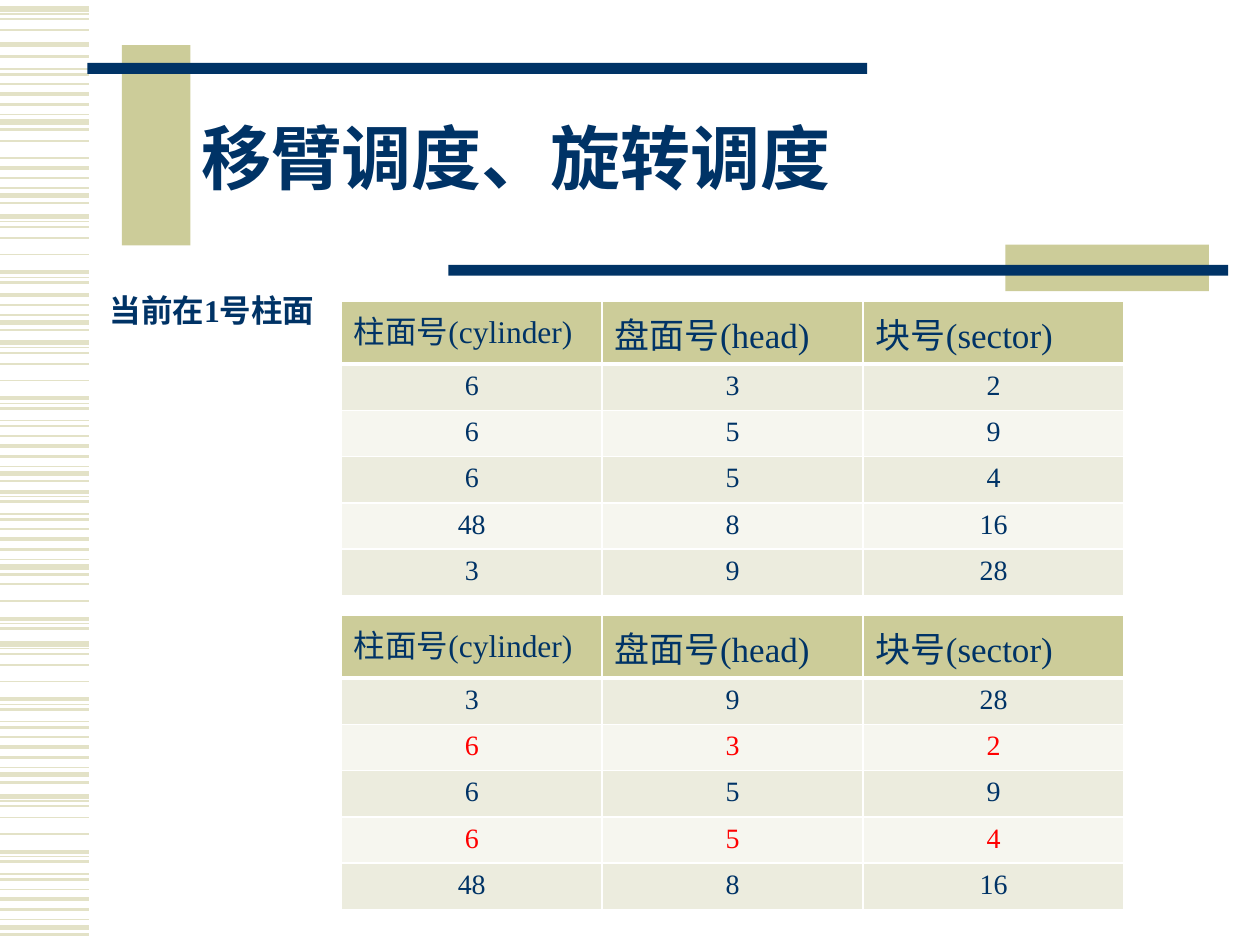
from lxml.etree import SubElement
from pptx import Presentation
from pptx.dml.color import RGBColor
from pptx.enum.shapes import MSO_CONNECTOR, MSO_SHAPE
from pptx.enum.text import MSO_ANCHOR, PP_ALIGN
from pptx.oxml.ns import qn
from pptx.util import Cm, Pt

NAVY, SAND, RED = "003366", "CCCC99", "FF0000"


def tint(form, code):
    """Set a font colour or a solid fill from a hex string."""
    if hasattr(form, "solid"):
        form.solid()
        form = form.fore_color
    form.rgb = RGBColor.from_string(code)


def write(frame, text, color, align=PP_ALIGN.LEFT, **style):
    """Fill a text frame with one styled paragraph and return it."""
    line = frame.paragraphs[0]
    line.alignment = align
    run = line.add_run()
    run.text = text
    for name, value in style.items():
        setattr(run.font, name, value)
    tint(run.font.color, color)
    return line


deck = Presentation()
deck.slide_width, deck.slide_height = Cm(25.4), Cm(19.05)
slide = deck.slides.add_slide(deck.slide_layouts[6])
shapes = slide.shapes

# Side stripes: parts of one motif of (offset in cm, weight in points)
motif = [
    (0, 3), (0.1, 0.75), (0.2, 1), (0.43, 1), (0.76, 1), (1.12, 2.25),
    (1.22, 0.75), (1.32, 1.5), (1.57, 0.75), (1.68, 1.5), (1.88, 1),
    (2.08, 2.25), (2.29, 1.5), (2.49, 0.75), (2.64, 3), (2.79, 1.5),
]
# Motif top in cm, then first and last stripe of the part that shows
parts = [
    (0.18, 0, 4), (0.89, 0, 1), (-0.18, 7, 16), (2.08, 4, 5),
    (1.3, 10, 16), (4.37, 0, 8), (3.86, 11, 16), (6.91, 0, 16),
    (8.79, 5, 16), (11.35, 3, 8), (12.98, 0, 16), (16.05, 0, 16),
]
for top, first, stop in parts:
    for gap, weight in motif[first:stop]:
        y = Cm(top + gap)
        stripe = shapes.add_connector(MSO_CONNECTOR.STRAIGHT, 0, y, Cm(1.8), y)
        stripe.line.width = Pt(weight)
        tint(stripe.line.fill, "E3E2C7")
        SubElement(stripe.element.spPr, qn("a:effectLst"))

# Blocks and bars around the title
bars = [
    (2.46, 0.91, 1.38, 4.04, SAND), (1.76, 1.27, 15.72, 0.22, NAVY),
    (20.27, 4.93, 4.1, 0.94, SAND), (9.04, 5.34, 15.72, 0.22, NAVY),
]
for *place, color in bars:
    bar = shapes.add_shape(MSO_SHAPE.RECTANGLE, *map(Cm, place))
    bar.shadow.inherit = False
    tint(bar.fill, color)
    bar.line.fill.background()

# Title and note
title = shapes.add_textbox(Cm(3.81), Cm(1.7), Cm(20.5), Cm(3.18)).text_frame
title.word_wrap = True
title.vertical_anchor = MSO_ANCHOR.MIDDLE
head = write(title, "移臂调度、旋转调度", NAVY, name="Arial", size=Pt(40), bold=True)
head.line_spacing = 0.85

note = shapes.add_textbox(Cm(1.96), Cm(5.74), Cm(4.78), Cm(1.02)).text_frame
note.word_wrap = True
write(note, "当前在1号柱面", NAVY, name="Times New Roman", size=Pt(18), bold=True)

# Request tables: top in cm, requests, rows in red
heads = ["柱面号(cylinder)", "盘面号(head)", "块号(sector)"]
tables = [
    (6.07, [(6, 3, 2), (6, 5, 9), (6, 5, 4), (48, 8, 16), (3, 9, 28)], ()),
    (12.4, [(3, 9, 28), (6, 3, 2), (6, 5, 9), (6, 5, 4), (48, 8, 16)], (2, 4)),
]
for top, data, marked in tables:
    rows = [heads, *data]
    grid = shapes.add_table(len(rows), 3, Cm(6.88), Cm(top), Cm(15.78), Cm(5.92)).table
    for col in grid.columns:
        col.width = Cm(5.26)
    for i, row in enumerate(rows):
        grid.rows[i].height = Cm(0.93 if i else 1.27)
        for j, value in enumerate(row):
            cell = grid.cell(i, j)
            edges = {
                "lnL": 1, "lnR": 1,
                "lnT": 3 if i == 1 else 1, "lnB": 1 if i else 3,
            }
            props = cell._tc.get_or_add_tcPr()
            for edge, weight in edges.items():
                line = SubElement(props, qn(f"a:{edge}"), w=str(Pt(weight)))
                fill = SubElement(line, qn("a:solidFill"))
                SubElement(fill, qn("a:srgbClr"), val="FFFFFF")
            if i:
                shade, size, align = ("F6F6EF", "ECECDE")[i % 2], 16, PP_ALIGN.CENTER
            else:
                shade, size, align = SAND, 20 if j else 18, PP_ALIGN.LEFT
            tint(cell.fill, shade)
            write(
                cell.text_frame, str(value), RED if i in marked else NAVY, align,
                name="Times New Roman", size=Pt(size), bold=False,
            )

deck.save("out.pptx")
